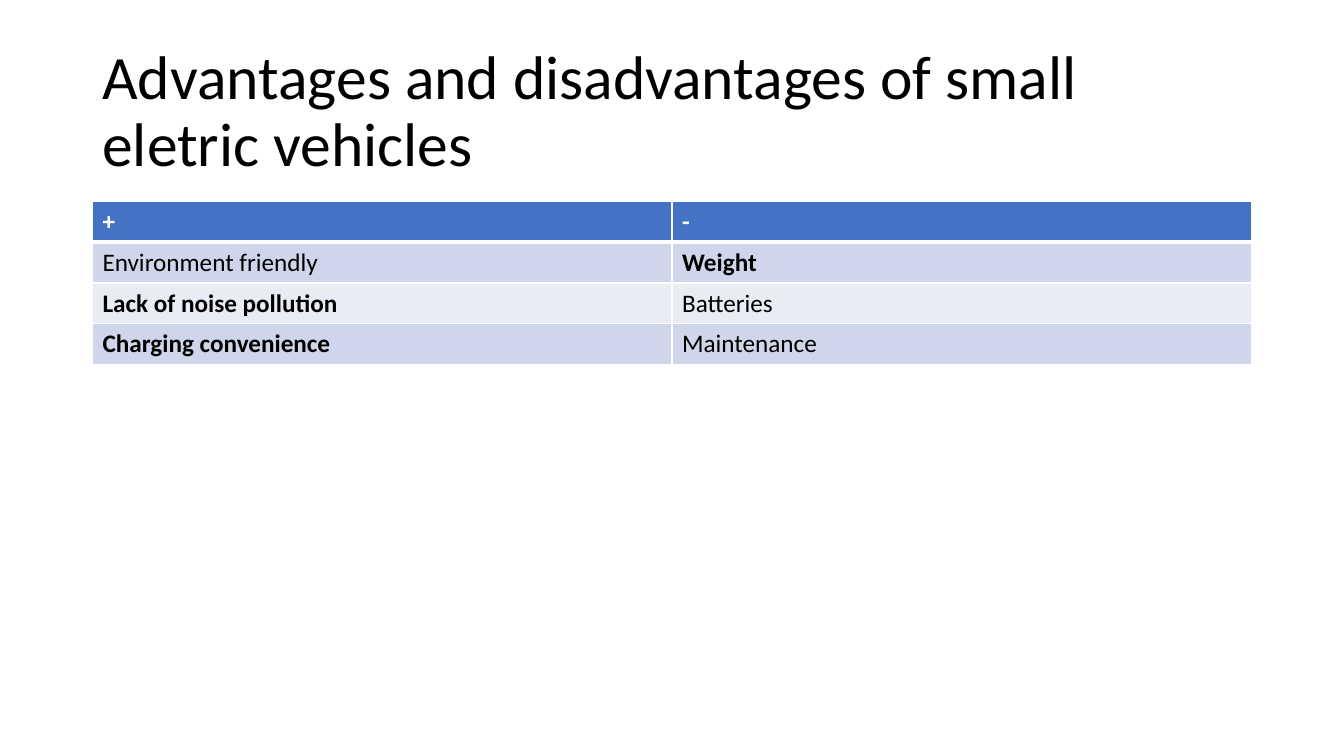
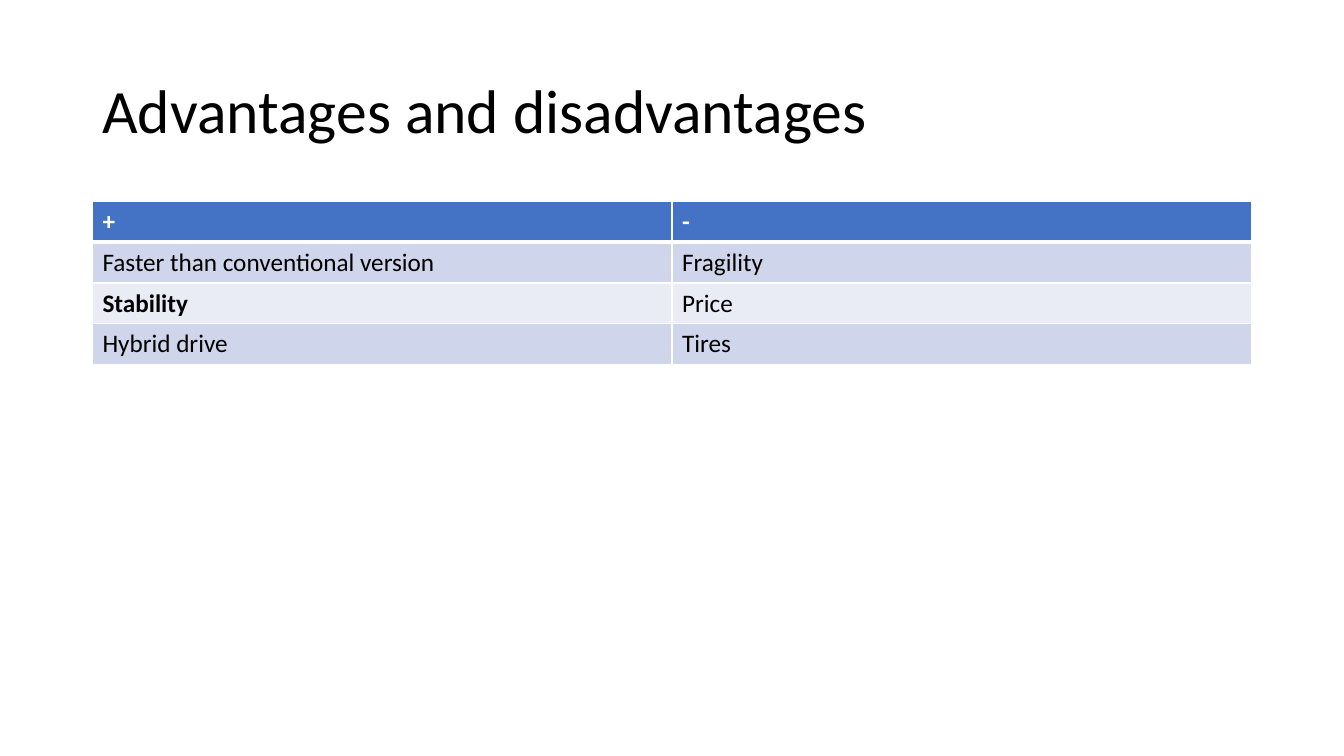
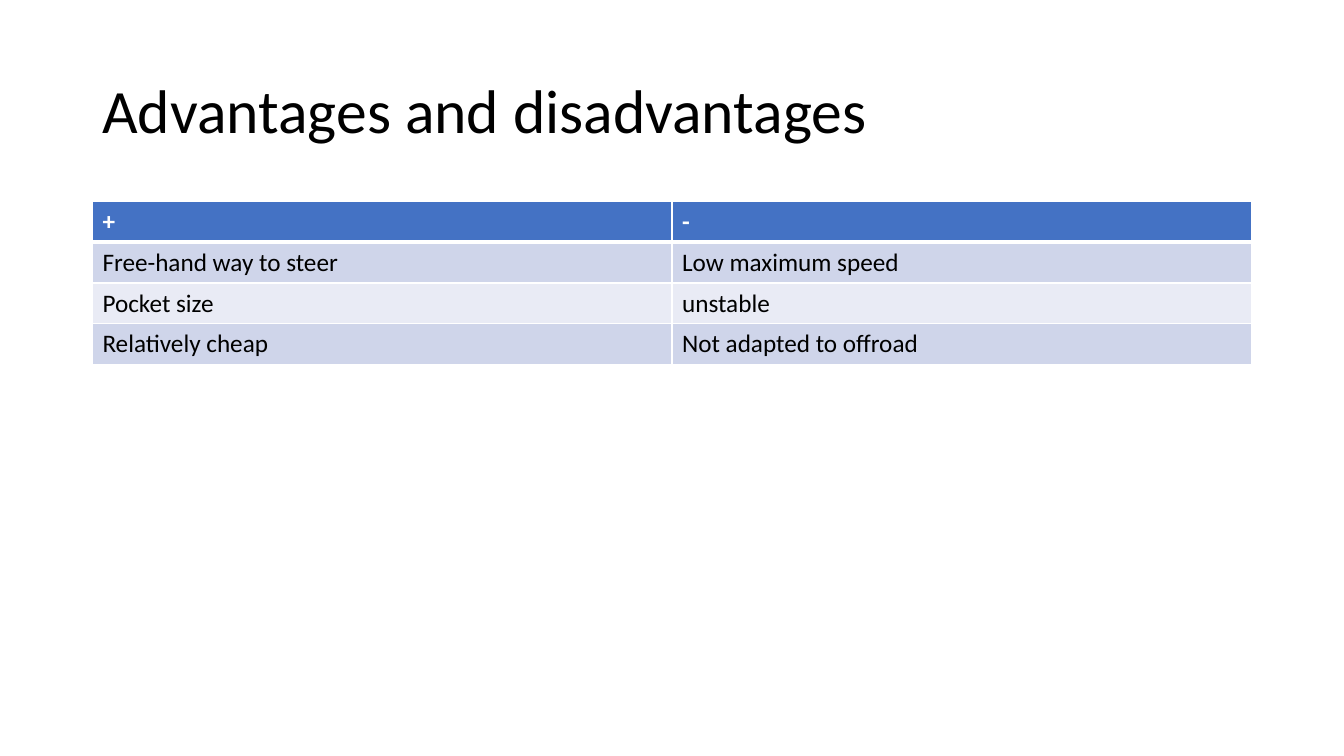
from lxml.etree import SubElement
from pptx import Presentation
from pptx.dml.color import RGBColor
from pptx.enum.text import MSO_ANCHOR
from pptx.oxml.ns import qn
from pptx.util import Cm, Pt

# Shared style
FONT = "Calibri"
BLACK, WHITE = "000000", "FFFFFF"
HEADER_FILL = "4472C4"
BAND_FILLS = ("CFD5EA", "E9EBF5")
THIN, THICK = 1, 3

# Shared layout, in centimetres
LEFT, WIDTH = 2.33, 29.21
TITLE_TOP, TITLE_HEIGHT = 1.01, 3.68
TABLE_TOP, ROW_HEIGHT = 5.07, 1.03

# Slide content: title, rows of (advantage, disadvantage), bold entries
HEADER = ("+", "-")
SLIDES = [
    (
        "Advantages and disadvantages of small eletric vehicles",
        [
            ("Environment friendly", "Weight"),
            ("Lack of noise pollution", "Batteries"),
            ("Charging convenience", "Maintenance"),
        ],
        {"Weight", "Lack of noise pollution", "Charging convenience"},
    ),
    (
        "Advantages and disadvantages",
        [
            ("Faster than conventional version", "Fragility"),
            ("Stability", "Price"),
            ("Hybrid drive", "Tires"),
        ],
        {"Stability"},
    ),
    (
        "Advantages and disadvantages",
        [
            ("Free-hand way to steer", "Low maximum speed"),
            ("Pocket size", "unstable"),
            ("Relatively cheap", "Not adapted to offroad"),
        ],
        set(),
    ),
]


def color(value):
    return RGBColor.from_string(value)


def add_span(para, text, size, fill, bold=False):
    span = para.add_run()
    span.text = text
    span.font.name = FONT
    span.font.size = Pt(size)
    span.font.bold = bold
    span.font.color.rgb = color(fill)


def add_title(page, text):
    box = page.shapes.add_textbox(
        Cm(LEFT), Cm(TITLE_TOP), Cm(WIDTH), Cm(TITLE_HEIGHT))
    frame = box.text_frame
    frame.word_wrap = True
    frame.vertical_anchor = MSO_ANCHOR.MIDDLE
    para = frame.paragraphs[0]
    para.line_spacing = 0.9
    add_span(para, text, 44, BLACK)


def set_borders(cell, top, bottom):
    properties = cell._tc.get_or_add_tcPr()
    widths = {"a:lnL": THIN, "a:lnR": THIN, "a:lnT": top, "a:lnB": bottom}
    # Border lines must stand before the cell fill
    for place, (tag, width) in enumerate(widths.items()):
        line = SubElement(properties, qn(tag), w=str(Pt(width)))
        solid = SubElement(line, qn("a:solidFill"))
        SubElement(solid, qn("a:srgbClr"), val=WHITE)
        properties.insert(place, line)


def add_comparison(page, entries, bold_entries):
    rows = [HEADER, *entries]
    table = page.shapes.add_table(
        len(rows), len(HEADER), Cm(LEFT), Cm(TABLE_TOP),
        Cm(WIDTH), Cm(ROW_HEIGHT * len(rows))).table
    for row_index, texts in enumerate(rows):
        is_header = row_index == 0
        fill = HEADER_FILL if is_header else BAND_FILLS[(row_index - 1) % 2]
        for column_index, text in enumerate(texts):
            cell = table.cell(row_index, column_index)
            cell.fill.solid()
            cell.fill.fore_color.rgb = color(fill)
            # The header is set off by a thick line
            set_borders(cell,
                        top=THICK if row_index == 1 else THIN,
                        bottom=THICK if is_header else THIN)
            add_span(cell.text_frame.paragraphs[0], text, 18,
                     WHITE if is_header else BLACK,
                     bold=is_header or text in bold_entries)


def main():
    deck = Presentation()
    deck.slide_width, deck.slide_height = Cm(33.87), Cm(19.05)
    blank = deck.slide_layouts[6]
    for title, entries, bold_entries in SLIDES:
        page = deck.slides.add_slide(blank)
        add_title(page, title)
        add_comparison(page, entries, bold_entries)
    deck.save("out.pptx")


if __name__ == "__main__":
    main()
